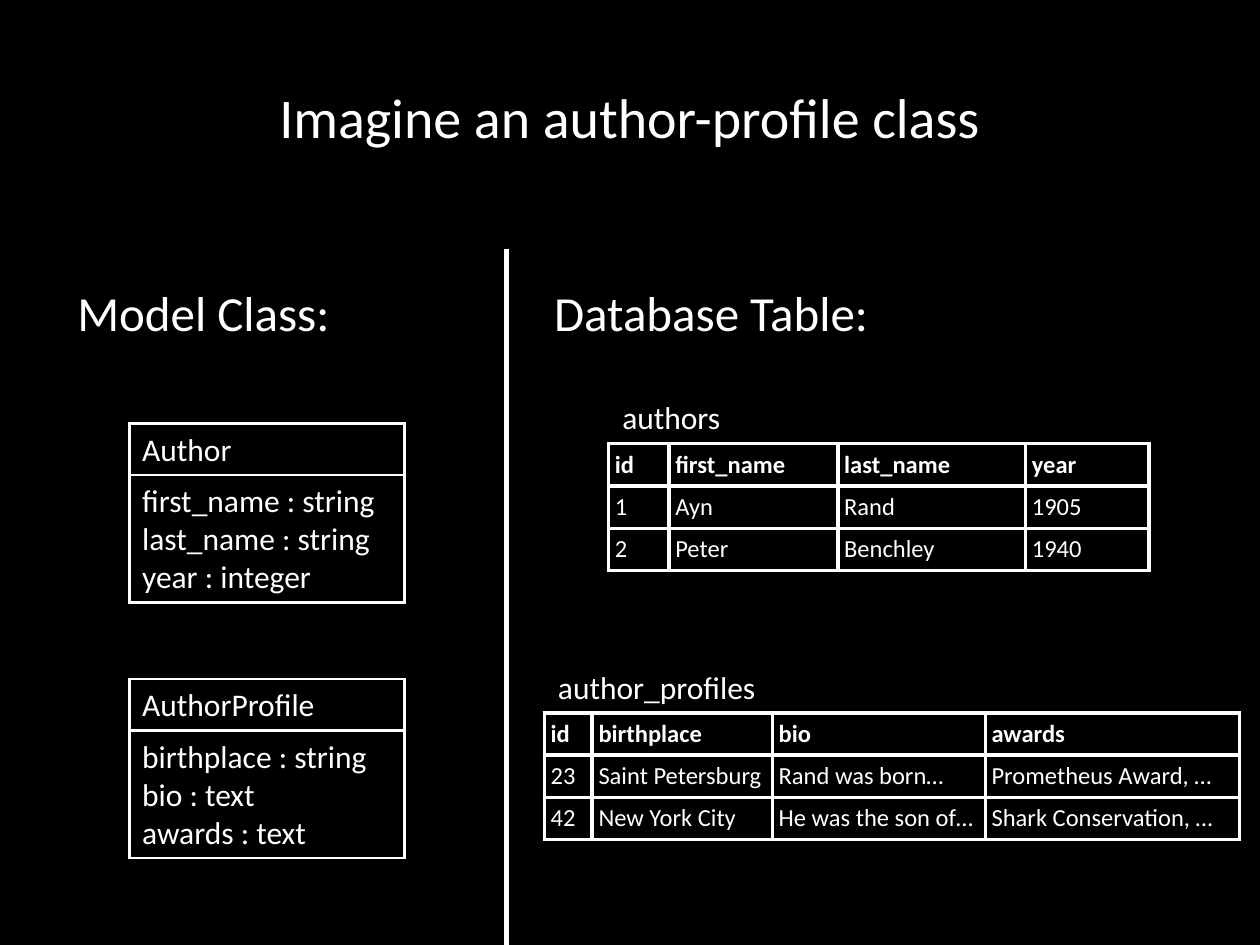
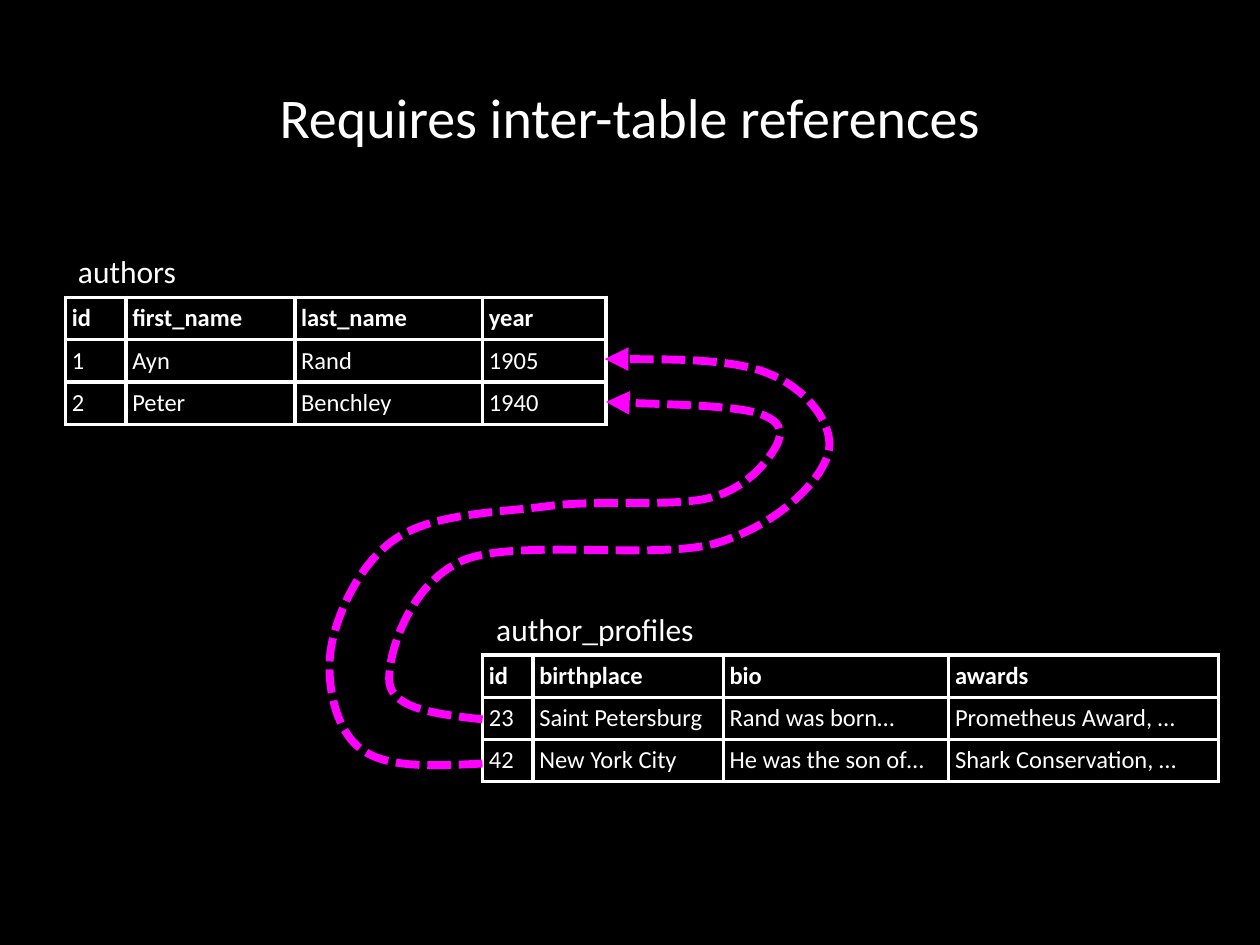
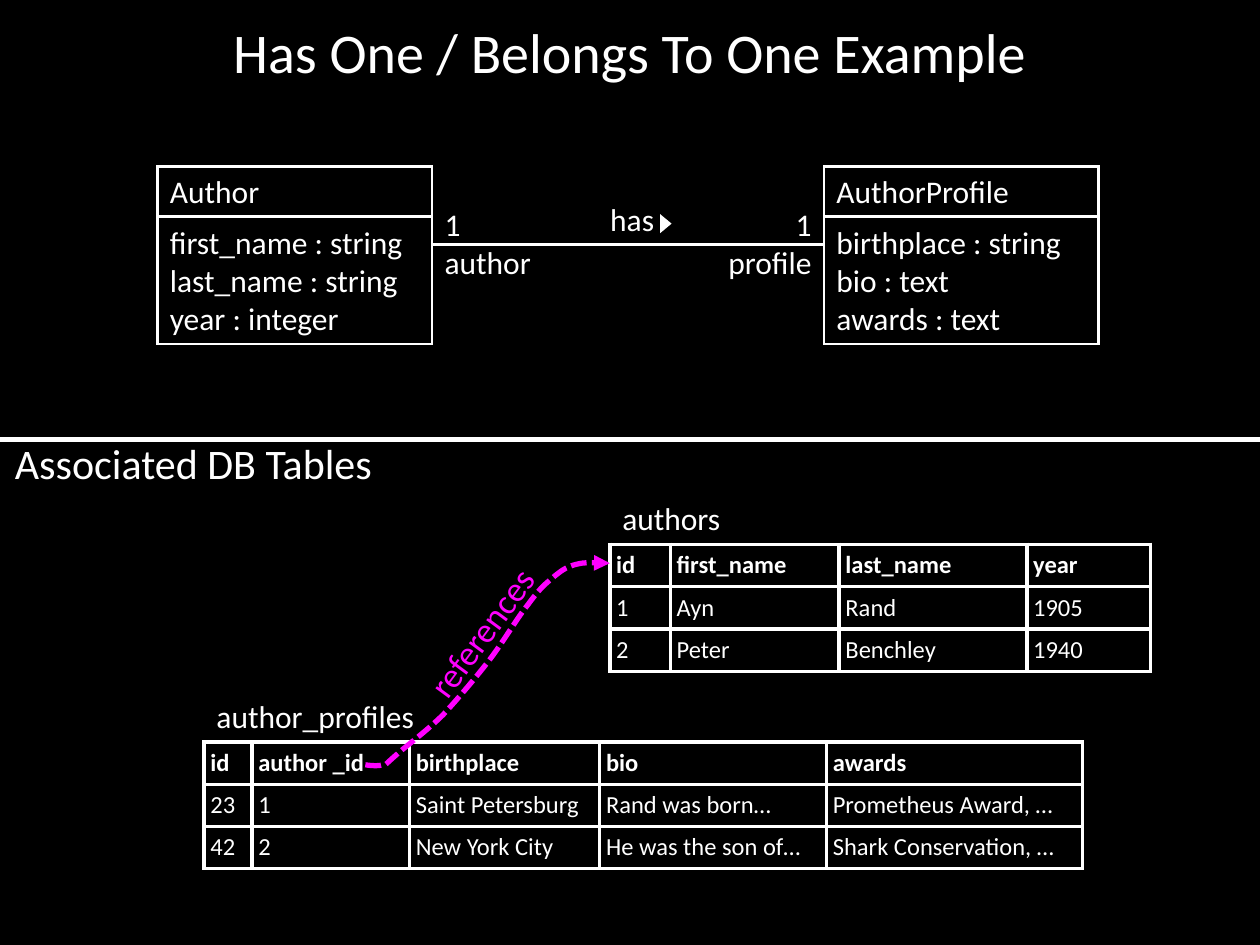
from lxml import etree
from pptx import Presentation
from pptx import util as u
from pptx.dml.color import RGBColor
from pptx.enum import dml, shapes, text
from pptx.oxml import ns

BLACK = RGBColor(0x00, 0x00, 0x00)
WHITE = RGBColor(0xFF, 0xFF, 0xFF)
MAGENTA = RGBColor(0xFF, 0x00, 0xFF)
LEFT, CENTER, RIGHT = text.PP_ALIGN.LEFT, text.PP_ALIGN.CENTER, text.PP_ALIGN.RIGHT
CELL_MARGINS = dict.fromkeys(
    ("margin_left", "margin_top", "margin_right", "margin_bottom"), u.Inches(0.05))


def write(frame, lines, size, align=LEFT, color=WHITE, bold=False):
    """Fill a text frame with one paragraph per line."""
    font_format = {"name": "Calibri", "size": u.Pt(size), "bold": bold}
    for number, line in enumerate(lines.split("\n")):
        paragraph = frame.paragraphs[0] if number == 0 else frame.add_paragraph()
        paragraph.alignment = align
        run = paragraph.add_run()
        run.text = line
        for name, value in font_format.items():
            setattr(run.font, name, value)
        run.font.color.rgb = color


def box(slide, kind, left, top, width, height):
    """Add an unfilled shape, or an unwrapped text box when kind is None."""
    place = [u.Inches(v) for v in (left, top, width, height)]
    if kind is None:
        added = slide.shapes.add_textbox(*place)
        added.text_frame.word_wrap = False
    else:
        added = slide.shapes.add_shape(kind, *place)
        added.shadow.inherit = False
        added.fill.background()
    added.text_frame.vertical_anchor = text.MSO_ANCHOR.TOP
    return added


prs = Presentation()
prs.slide_width, prs.slide_height = u.Inches(10), u.Inches(7.5)

# Slides with background and title: wording, top, height
titles = [
    ("Imagine an author-profile class", 0.3, 1.25),
    ("Requires inter-table references", 0.3, 1.25),
    ("Has One / Belongs To One Example", 0, 0.81),
]
for wording, top, height in titles:
    slide = prs.slides.add_slide(prs.slide_layouts[6])
    slide.background.fill.solid()
    slide.background.fill.fore_color.rgb = BLACK
    title = box(slide, None, 0.5, top, 9, height)
    title.text_frame.word_wrap = True
    title.text_frame.vertical_anchor = text.MSO_ANCHOR.MIDDLE
    write(title.text_frame, wording, 32, CENTER)
imagine, references, example = prs.slides

# Model classes: a name box on top of an attribute box
author_class = ("Author", "first_name : string\nlast_name : string\nyear : integer")
profile_class = ("AuthorProfile", "birthplace : string\nbio : text\nawards : text")
class_places = [
    (imagine, author_class, 1.03, 3.36, 0.41),
    (imagine, profile_class, 1.03, 5.39, 0.41),
    (example, author_class, 1.25, 1.32, 0.4),
    (example, profile_class, 6.54, 1.32, 0.4),
]
for slide, (class_name, attributes), left, top, name_height in class_places:
    compartments = [(attributes, top + name_height, 1.01), (class_name, top, name_height)]
    for wording, y, height in compartments:
        compartment = box(slide, shapes.MSO_SHAPE.RECTANGLE, left, y, 2.18, height)
        compartment.line.color.rgb = WHITE
        compartment.line.width = u.Pt(1.5)
        etree.SubElement(compartment.line._get_or_add_ln(), ns.qn("a:miter"), lim="800000")
        write(compartment.text_frame, wording, 18)

# Database tables, each with its name above
authors = [
    ["id", "first_name", "last_name", "year"],
    ["1", "Ayn", "Rand", "1905"],
    ["2", "Peter", "Benchley", "1940"],
]
profiles = [
    ["id", "birthplace", "bio", "awards"],
    ["23", "Saint Petersburg", "Rand was born…", "Prometheus Award, …"],
    ["42", "New York City", "He was the son of…", "Shark Conservation, …"],
]
author_ids = ["author _id", "1", "2"]
linked_profiles = [[row[0], key, *row[1:]] for row, key in zip(profiles, author_ids)]
author_widths = [0.48, 1.34, 1.49, 0.98]

# Slide, name, name's left edge, rows, left, top, height, column widths
table_places = [
    (imagine, "authors", 4.84, authors, 4.83, 3.52, 1.01, author_widths),
    (imagine, "author_profiles", 4.33, profiles, 4.32, 5.66, 1, [0.38, 1.43, 1.69, 2.02]),
    (references, "authors", 0.52, authors, 0.52, 2.36, 1.01, author_widths),
    (references, "author_profiles", 3.84, profiles, 3.83, 5.2, 1, [0.4, 1.51, 1.79, 2.14]),
    (example, "authors", 4.84, authors, 4.84, 4.32, 1.01, author_widths),
    (example, "author_profiles", 1.62, linked_profiles, 1.62, 5.89, 1,
     [0.38, 1.25, 1.51, 1.8, 2.03]),
]
for slide, table_name, name_left, rows, left, top, height, widths in table_places:
    grid = slide.shapes.add_table(
        len(rows), len(widths), u.Inches(left), u.Inches(top),
        u.Inches(sum(widths)), u.Inches(height)).table
    grid.horz_banding = False
    for column, width in zip(grid.columns, widths):
        column.width = u.Inches(width)
    for r, row in enumerate(rows):
        for c, value in enumerate(row):
            cell = grid.cell(r, c)
            for name, margin in CELL_MARGINS.items():
                setattr(cell, name, margin)
            write(cell.text_frame, value, 14, bold=r == 0)
            # Borders come before the fill in the cell properties
            for side in ("a:lnL", "a:lnR", "a:lnT", "a:lnB"):
                border = etree.SubElement(
                    cell._tc.get_or_add_tcPr(), ns.qn(side), w=str(u.Pt(2.25)))
                paint = etree.SubElement(border, ns.qn("a:solidFill"))
                etree.SubElement(paint, ns.qn("a:srgbClr"), val=str(WHITE))
            cell.fill.solid()
            cell.fill.fore_color.rgb = BLACK

    name_width = 1.02 if table_name == "authors" else 1.83
    caption = box(slide, None, name_left, top - 0.41, name_width, 0.4)
    write(caption.text_frame, table_name, 18)

# Headings and association labels
labels = [
    (imagine, "Model Class:", 0.5, 2.19, 2.23, 0.57, 28, CENTER, WHITE, 0),
    (imagine, "Database Table:", 4.3, 2.19, 2.76, 0.57, 28, LEFT, WHITE, 0),
    (example, "has", 4.74, 1.54, 0.55, 0.4, 18, RIGHT, WHITE, 0),
    (example, "1\nauthor", 3.43, 1.58, 0.89, 0.71, 18, LEFT, WHITE, 0),
    (example, "1\nprofile", 5.66, 1.58, 0.88, 0.71, 18, RIGHT, WHITE, 0),
    (example, "Associated DB Tables", 0.02, 3.42, 3.1, 0.51, 24, LEFT, WHITE, 0),
    (example, "references", 3.11, 4.8, 1.42, 0.44, 20, CENTER, MAGENTA, 306.4),
]
for slide, wording, left, top, width, height, size, align, color, angle in labels:
    label = box(slide, None, left, top, width, height)
    label.rotation = angle
    write(label.text_frame, wording, size, align, color)

# Reading direction of "has"
direction = box(example, shapes.MSO_SHAPE.ISOSCELES_TRIANGLE, 5.21, 1.73, 0.15, 0.09)
direction.rotation = 90
direction.fill.solid()
direction.fill.fore_color.rgb = WHITE
direction.line.fill.background()

# Dividers and the association line
straight_lines = [
    (imagine, 4.02, 1.98, 4.02, 7.5, 3),
    (example, 0, 3.49, 10, 3.49, 3),
    (example, 3.43, 1.94, 6.54, 1.94, 1.5),
]
for slide, *ends, weight in straight_lines:
    rule = slide.shapes.add_connector(
        shapes.MSO_CONNECTOR.STRAIGHT, *[u.Inches(v) for v in ends])
    rule.line.color.rgb = WHITE
    rule.line.width = u.Pt(weight)
    etree.SubElement(rule._element.spPr, ns.qn("a:effectLst"))

# Dashed reference arrows: a start point, then two handles and an end per segment
reference_arrows = [
    (references, 4.5, [
        (3.83, 5.71), (3.48, 5.67), (3.12, 5.63), (3.09, 5.42),
        (3.07, 5.21), (3.24, 4.64), (3.67, 4.45),
        (4.1, 4.27), (5.21, 4.45), (5.69, 4.31),
        (6.18, 4.16), (6.5, 3.83), (6.57, 3.61),
        (6.64, 3.39), (6.41, 3.09), (6.11, 2.97),
        (5.82, 2.84), (4.8, 2.85), (4.8, 2.85)]),
    (references, 4.5, [
        (3.83, 6.06), (3.44, 6.08), (3.06, 6.1), (2.86, 5.94),
        (2.66, 5.79), (2.58, 5.41), (2.63, 5.13),
        (2.68, 4.85), (2.87, 4.45), (3.15, 4.27),
        (3.44, 4.08), (3.91, 4.07), (4.33, 4.02),
        (4.74, 3.96), (5.33, 4.03), (5.64, 3.95),
        (5.94, 3.87), (6.1, 3.65), (6.16, 3.54),
        (6.22, 3.43), (6.21, 3.33), (5.98, 3.27),
        (5.76, 3.22), (5.28, 3.21), (4.81, 3.19)]),
    (example, 3, [
        (2.9, 6.07), (2.96, 6.08), (3.01, 6.08), (3.04, 6.07),
        (3.07, 6.07), (3.05, 6.07), (3.07, 6.06),
        (3.09, 6.04), (3.17, 5.97), (3.17, 5.97),
        (3.24, 5.91), (3.4, 5.79), (3.52, 5.67),
        (3.63, 5.55), (3.75, 5.41), (3.86, 5.27),
        (3.98, 5.12), (4.1, 4.91), (4.19, 4.8),
        (4.27, 4.69), (4.31, 4.65), (4.37, 4.6),
        (4.44, 4.54), (4.49, 4.5), (4.57, 4.48),
        (4.65, 4.46), (4.84, 4.47), (4.84, 4.47)]),
]
for slide, weight, points in reference_arrows:
    route = [(u.Inches(x), u.Inches(y)) for x, y in points]
    outline = slide.shapes.build_freeform(*route[0])
    outline.add_line_segments(route[3::3], close=False)
    arrow = outline.convert_to_shape()
    # Bend each straight segment by giving it its two handles
    segments = list(arrow._element.iter(ns.qn("a:lnTo")))
    for number, segment in enumerate(segments):
        segment.tag = ns.qn("a:cubicBezTo")
        for place, (x, y) in enumerate(route[3 * number + 1:3 * number + 3]):
            handle = etree.Element(
                ns.qn("a:pt"), x=str(x - arrow.left), y=str(y - arrow.top))
            segment.insert(place, handle)
    arrow.shadow.inherit = False
    arrow.fill.background()
    arrow.line.color.rgb = MAGENTA
    arrow.line.width = u.Pt(weight)
    arrow.line.dash_style = dml.MSO_LINE.SQUARE_DOT
    etree.SubElement(arrow.line._get_or_add_ln(), ns.qn("a:tailEnd"), type="triangle")

prs.save("out.pptx")
